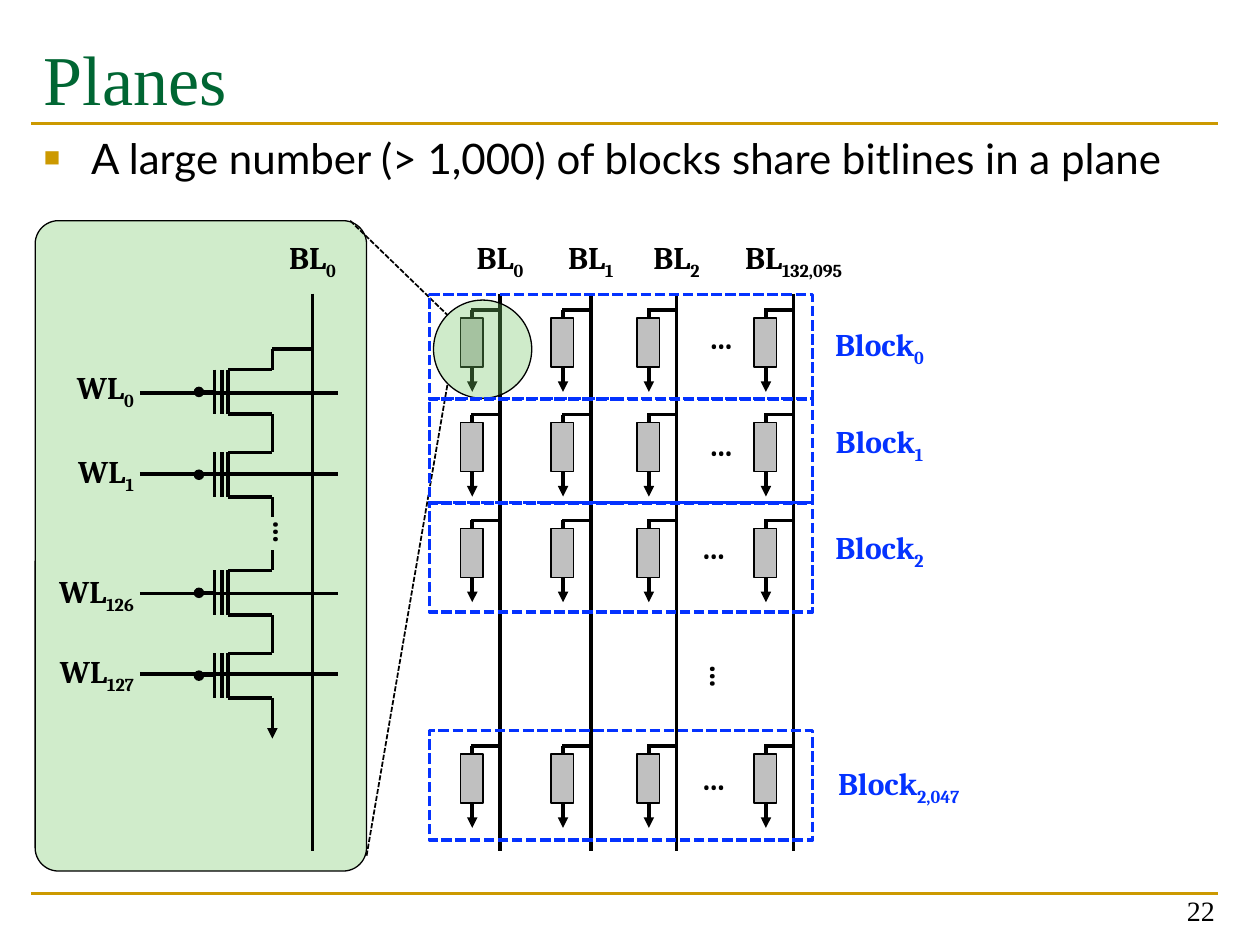
import pptx
import pptx.util
import pptx.dml.color
import pptx.enum.dml
import pptx.enum.shapes
import pptx.enum.text
import pptx.oxml.ns
import lxml.etree

Cm, Pt = pptx.util.Cm, pptx.util.Pt
Shape = pptx.enum.shapes.MSO_SHAPE
Align = pptx.enum.text.PP_ALIGN
Anchor = pptx.enum.text.MSO_ANCHOR
Fit = pptx.enum.text.MSO_AUTO_SIZE

THEME = {
    "ink": "000000", "gold": "CC9900", "green": "006633", "blue": "0432FF",
    "mint": "D0ECCB", "leaf": "73C764", "grey": "C0C0C0", "white": "FFFFFF",
    "serif": "Times New Roman", "sans": "Lato", "label": "Cambria",
    "title": 40, "body": 24, "tag": 18, "page": 16,
    "thin": 0.75, "dash": 1, "rule": 1.5, "wire": 2,
}

# Content; all lengths are in centimetres
TITLE = "Planes"
POINT = "A large number (> 1,000) of blocks share bitlines in a plane"
PAGE = "22"
RULES = [18.01, 2.49]
# index, x of the bitline, label width
BITS = [("0", 10.08, 1.55), ("1", 11.91, 1.55),
        ("2", 13.64, 1.55), ("132,095", 16.0, 2.9)]
# index, frame top, frame height, y of the cell tap, label (left, top, width)
BLOCKS = [("0", 5.94, 2.11, 6.25, (16.51, 6.48, 2.44)),
          ("1", 8.03, 2.11, 8.36, (16.51, 8.43, 2.44)),
          ("2", 10.13, 2.21, 10.49, (16.51, 10.57, 2.44)),
          ("2,047", 14.73, 2.21, 15.04, (16.48, 15.32, 3.28))]
# index, y of the wordline, y of the gate, label top, label width
WORDS = [("0", 7.92, 7.9, 7.34, 1.73), ("1", 9.55, 9.57, 9.04, 1.73),
         ("126", 11.96, 11.95, 11.46, 2.24), ("127", 13.59, 13.62, 13.06, 2.24)]
# centre x, centre y, width, turn, fill
DOTS = [(5.35, 10.78, 0.89, 270, None),
        (14.34, 11.04, 0.89, 0, "white"), (14.31, 8.95, 0.53, 0, "white"),
        (14.31, 6.79, 0.53, 0, "white"), (14.57, 13.42, 0.53, 90, "white"),
        (14.34, 15.68, 0.89, 0, "white")]
ZOOM = [(7.06, 4.45, 9.02, 6.35), (7.39, 17.25, 9.02, 7.75)]
TOP, END = 5.92, 17.15      # bitline ends
LEAD, NEAR = 5.49, 6.3      # x of the cell string and of its bitline

deck = pptx.Presentation()
deck.slide_width, deck.slide_height = Cm(25.4), Cm(19.05)
slide = deck.slides.add_slide(deck.slide_layouts[1])
shapes = slide.shapes


def put(thing, **vals):
    for name, val in vals.items():
        setattr(thing, name, val)


def tint(name):
    return pptx.dml.color.RGBColor.from_string(THEME[name])


def node(host, tag, **vals):
    return lxml.etree.SubElement(host, pptx.oxml.ns.qn(tag), vals)


def stroke(line, color, width, dash=False):
    line.color.rgb = tint(color)
    line.width = Pt(THEME[width])
    if dash:
        line.dash_style = pptx.enum.dml.MSO_LINE.SQUARE_DOT


def wire(x1, y1, x2, y2, color="ink", width="wire", dash=False, tip=None):
    link = shapes.add_connector(pptx.enum.shapes.MSO_CONNECTOR.STRAIGHT,
                                Cm(x1), Cm(y1), Cm(x2), Cm(y2))
    stroke(link.line, color, width, dash)
    if tip:
        node(link.line._get_or_add_ln(), "a:tailEnd", type=tip)
    node(link._element.spPr, "a:effectLst")


def form(kind, x, y, w, h, fill=None, line=None, width="thin", dash=False):
    item = shapes.add_shape(kind, Cm(x), Cm(y), Cm(w), Cm(h))
    item.shadow.inherit = False
    if fill:
        item.fill.solid()
        item.fill.fore_color.rgb = tint(fill)
    else:
        item.fill.background()
    if line:
        stroke(item.line, line, width, dash)
    else:
        item.line.fill.background()
    return item


def write(par, text, face, size, color, bold=False, sub=False):
    run = par.add_run()
    run.text = text
    put(run.font, name=THEME[face], size=Pt(THEME[size]), bold=bold)
    run.font.color.rgb = tint(color)
    if sub:
        run.font._element.set("baseline", "-25000")


def tag(item, text, index="", color="ink", align=Align.CENTER):
    """Bold label text with an optional subscript."""
    put(item.text_frame, word_wrap=False, vertical_anchor=Anchor.MIDDLE,
        auto_size=Fit.SHAPE_TO_FIT_TEXT)
    par = item.text_frame.paragraphs[0]
    par.alignment = align
    write(par, text, "label", "tag", color, bold=True)
    if index:
        write(par, index, "label", "tag", color, bold=True, sub=True)


def label(x, y, w, *args, **vals):
    tag(shapes.add_textbox(Cm(x), Cm(y), Cm(w), Cm(1.02)), *args, **vals)


def bitline(index, x, w):
    wire(x, TOP, x, END)
    label(x - w / 2, 4.72, w, "BL", index)


def gate(y, last):
    """One transistor of the string; the last one ends in an arrow."""
    for x in (4.32, 4.47, 4.6):
        wire(x, y - 0.45, x, y + 0.45)
    for side in (-0.45, 0.45):
        wire(4.6, y + side, LEAD, y + side)
    wire(LEAD, y - 0.45, LEAD, y - 0.86)
    wire(LEAD, y + 0.45, LEAD, y + (1.27 if last else 0.86),
         tip="triangle" if last else None)
    wire(4.32, y, 4.01, y, tip="oval")


def cell(x, y):
    stem = x - 0.56
    wire(stem, y, stem, y + 1.65, tip="triangle")
    wire(x, y, stem - 0.03, y)
    form(Shape.RECTANGLE, stem - 0.24, y + 0.16, 0.46, 0.99, "grey", "ink")


def heads():
    title, body = shapes.title, slide.placeholders[1]
    put(title, left=Cm(0.63), top=Cm(0.43), width=Cm(23.93), height=Cm(2.97))
    put(body, left=Cm(0.63), top=Cm(2.54), width=Cm(23.93), height=Cm(15.44))
    for item in (title, body):
        put(item.text_frame, vertical_anchor=Anchor.TOP, auto_size=Fit.NONE,
            word_wrap=True)
    title.text_frame.margin_top = Cm(0.28)
    par = title.text_frame.paragraphs[0]
    par.alignment = Align.LEFT
    write(par, TITLE, "serif", "title", "green")

    par = body.text_frame.paragraphs[0]
    write(par, POINT, "sans", "body", "ink")
    props = par._p.get_or_add_pPr()
    put(props, marL=Cm(0.97), indent=Cm(-0.97))
    node(node(props, "a:spcBef"), "a:spcPct", val="20000")
    node(node(props, "a:buClr"), "a:srgbClr", val=THEME["gold"])
    node(props, "a:buSzPct", val="65000")
    node(props, "a:buFont", typeface="Arial")
    node(props, "a:buChar", char="■")

    box = shapes.add_textbox(Cm(18.82), Cm(17.55), Cm(5.92), Cm(1.27))
    put(box.text_frame, word_wrap=True, vertical_anchor=Anchor.BOTTOM)
    par = box.text_frame.paragraphs[0]
    par.alignment = Align.RIGHT
    write(par, PAGE, "serif", "page", "ink")


def main():
    for y in RULES:
        wire(0.63, y, 24.56, y, "gold", "rule")
    panel = form(Shape.ROUNDED_RECTANGLE, 0.71, 4.45, 6.68, 13.11, "mint", "ink")
    panel.adjustments[0] = 0.07
    heads()

    bitline("0", NEAR, 1.55)
    wire(NEAR, 7.04, LEAD, 7.04)
    for index, y, mid, top, w in WORDS:
        gate(mid, index == WORDS[-1][0])
        wire(2.82, y, 6.81, y)
        label(2.95 - w, top, w, "WL", index, align=Align.RIGHT)

    for bit in BITS:
        bitline(*bit)
    for x, y, w, turn, fill in DOTS:
        dots = form(Shape.RECTANGLE, x - w / 2, y - 0.45, w, 0.89, fill)
        dots.rotation = turn
        tag(dots, "…")

    for _, x, _ in BITS:
        for _, _, _, y, _ in BLOCKS:
            cell(x, y)
    lens = form(Shape.OVAL, 8.74, 6.05, 1.98, 1.98, "leaf", "ink")
    shade = lens.fill._xPr.find(".//" + pptx.oxml.ns.qn("a:srgbClr"))
    node(shade, "a:alpha", val="34000")
    for ends in ZOOM:
        wire(*ends, width="dash", dash=True)

    for index, top, h, _, spot in BLOCKS:
        form(Shape.RECTANGLE, 8.66, top, 7.72, h, None, "blue", "wire", True)
        label(*spot, "Block", index, color="blue")
    deck.save("out.pptx")


if __name__ == "__main__":
    main()
